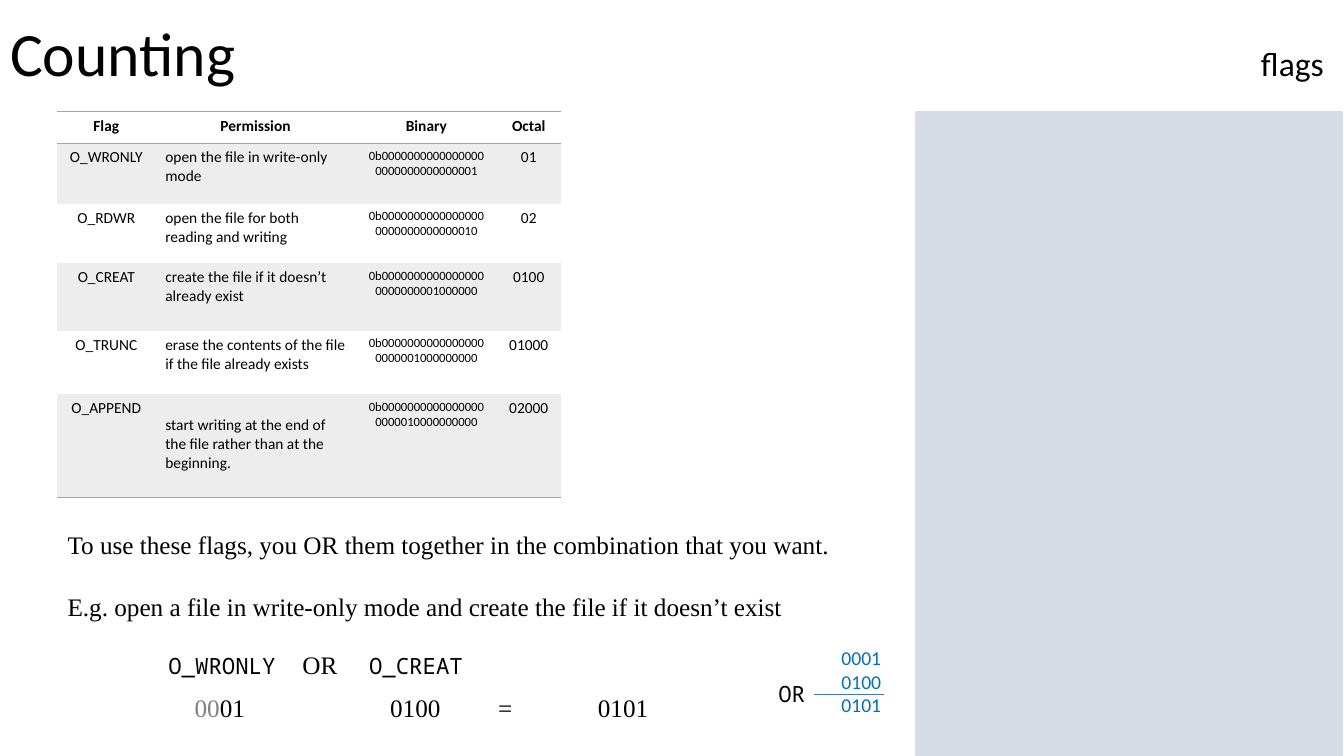
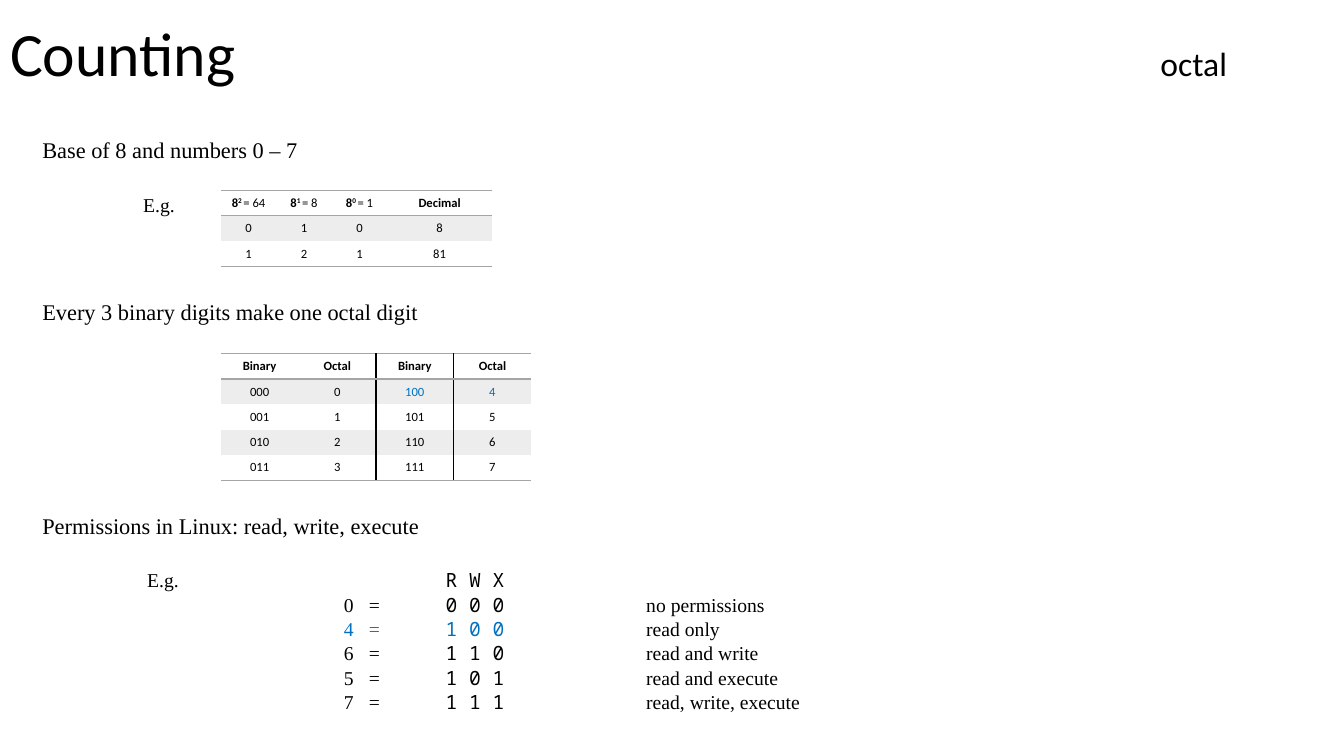
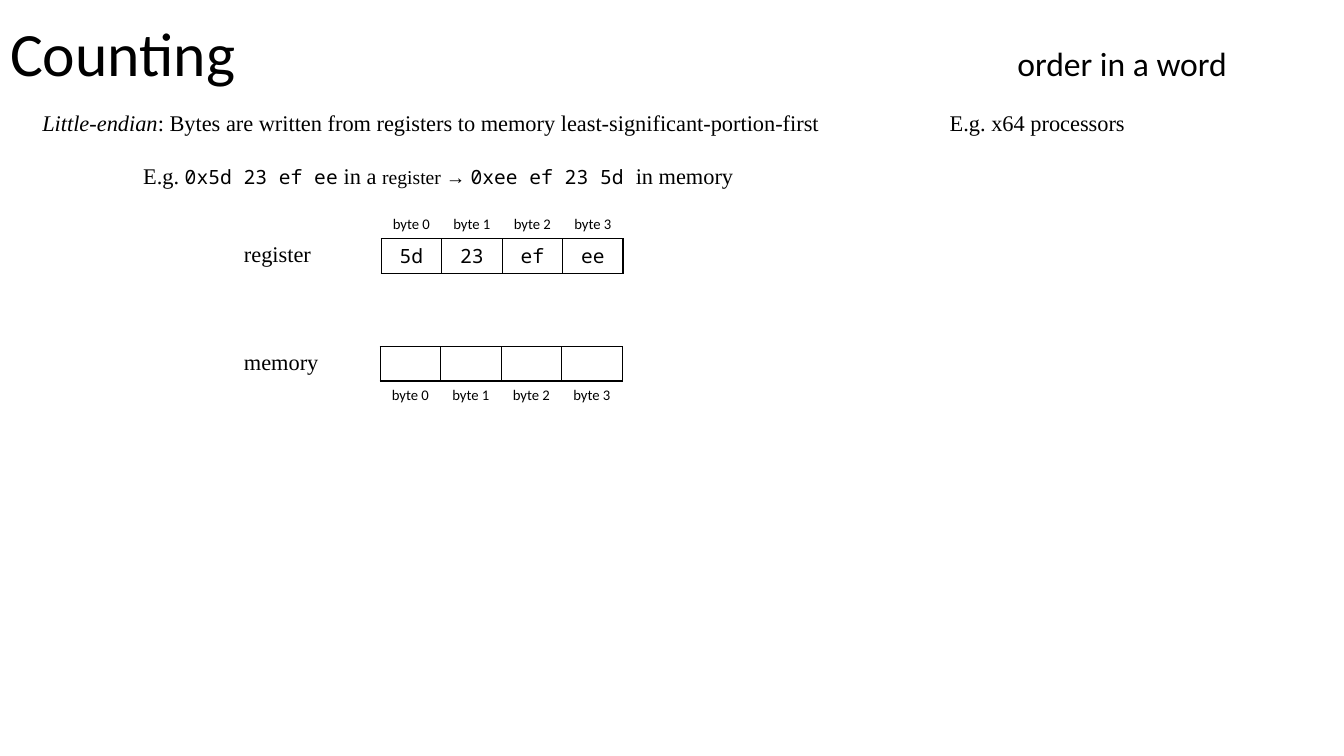
from lxml.etree import SubElement
from pptx import Presentation
from pptx.dml.color import RGBColor
from pptx.enum.shapes import MSO_CONNECTOR, MSO_SHAPE
from pptx.enum.text import MSO_ANCHOR, MSO_AUTO_SIZE, PP_ALIGN
from pptx.oxml.ns import qn
from pptx.util import Inches, Pt

COLORS = {
    "ink": "000000",
    "panel": "D6DCE5",
    "rule": "A5A5A5",
    "band": "EDEDED",
    "accent": "0070C0",
    "sum_line": "4472C4",
    "leading": "808080",
}
SANS, SERIF, MONO = "Calibri", "Times New Roman", "Noto Sans Mono"
NO_STYLE = "{2D5ABB26-0587-4C30-8999-92F81FD0307C}"
BLUE = {"color": "accent"}


def rgb(name):
    """Return the named colour."""
    return RGBColor.from_string(COLORS[name])


def add_tabs(paragraph, tabs):
    """Give a paragraph tab stops from (inches, alignment) pairs."""
    tab_list = SubElement(paragraph._p.get_or_add_pPr(), qn("a:tabLst"))
    for position, alignment in tabs:
        SubElement(tab_list, qn("a:tab"), pos=str(Inches(position)), algn=alignment)


def format_run(run, size, font=SERIF, color="ink", bold=False, italic=False, raised=False):
    """Set the character format of one run."""
    run.font.size = Pt(size)
    run.font.name = font
    run.font.color.rgb = rgb(color)
    run.font.bold = bold
    run.font.italic = italic
    if raised:
        run.font._element.set("baseline", "30000")


def write(frame, paragraphs, align=PP_ALIGN.LEFT, spacing=None, gap=0, tabs=(), **style):
    """Fill a text frame; a paragraph is a string or a list of runs."""
    for index, content in enumerate(paragraphs):
        paragraph = frame.add_paragraph() if index else frame.paragraphs[0]
        paragraph.alignment = align
        if spacing:
            paragraph.line_spacing = spacing
        if gap and index:
            paragraph.space_before = Pt(gap)
        if tabs:
            add_tabs(paragraph, tabs)
        for part in [content] if isinstance(content, str) else content:
            text, changes = (part, {}) if isinstance(part, str) else part
            if text:
                run = paragraph.add_run()
                run.text = text
                format_run(run, **{**style, **changes})


def clear_margins(frame):
    """Remove the insets of a text frame."""
    frame.margin_left = frame.margin_right = 0
    frame.margin_top = frame.margin_bottom = 0


def add_text(slide, box, *paragraphs, **style):
    """Add a text box without insets."""
    frame = slide.shapes.add_textbox(*map(Inches, box)).text_frame
    clear_margins(frame)
    frame.word_wrap = True
    write(frame, paragraphs, **style)


def set_edges(cell, edges):
    """Draw cell borders from a dict of side to colour name."""
    properties = cell._tc.get_or_add_tcPr()
    for index, side in enumerate(side for side in "LRTB" if side in edges):
        line = properties.makeelement(qn(f"a:ln{side}"), {"w": str(Pt(1))})
        fill = SubElement(line, qn("a:solidFill"))
        SubElement(fill, qn("a:srgbClr"), val=COLORS[edges[side]])
        properties.insert(index, line)


def add_grid(slide, left, top, widths, heights, rows, style, edges,
             banded=True, anchor=MSO_ANCHOR.MIDDLE, padding=0.05):
    """Add a table whose style and edges are functions of row and column."""
    table = slide.shapes.add_table(
        len(rows), len(widths), Inches(left), Inches(top),
        Inches(sum(widths)), Inches(sum(heights))).table
    table.first_row = table.horz_banding = False
    table._tbl.tblPr.find(qn("a:tableStyleId")).text = NO_STYLE
    for column, width in zip(table.columns, widths):
        column.width = Inches(width)
    for r, (height, values) in enumerate(zip(heights, rows)):
        table.rows[r].height = Inches(height)
        for c, value in enumerate(values):
            cell = table.cell(r, c)
            cell.margin_top = cell.margin_bottom = Inches(padding)
            cell.vertical_anchor = anchor
            if banded and r % 2:
                cell.fill.solid()
                cell.fill.fore_color.rgb = rgb("band")
            else:
                cell.fill.background()
            set_edges(cell, edges(r, c))
            write(cell.text_frame, [value], **style(r, c))
    return table


def ruled(last):
    """Return edges with rules around the header and below the last row."""
    def edges(r, c):
        return {"T": "rule", "B": "rule"} if r == 0 else {"B": "rule"} if r == last else {}
    return edges


def small_style(r, c):
    """Return the format of a small number table, with a bold header."""
    return {"size": 9, "font": SANS, "bold": r == 0, "align": PP_ALIGN.CENTER}


def new_slide(deck, topic, topic_right):
    """Add a slide with the shared title and its topic at the right."""
    slide = deck.slides.add_slide(deck.slide_layouts[5])
    title = slide.shapes.title
    title.left, title.top, title.width, title.height = map(Inches, (0.1, 0, 13.23, 1.13))
    frame = title.text_frame
    clear_margins(frame)
    frame.auto_size = MSO_AUTO_SIZE.NONE
    frame.vertical_anchor = MSO_ANCHOR.MIDDLE
    write(frame, [["Counting\t", (topic, {"size": 24})]], size=44, font=SANS,
          spacing=0.9, tabs=[(topic_right - 0.1, "r")])
    return slide


def add_panel(slide, box):
    """Add the plain side panel."""
    panel = slide.shapes.add_shape(MSO_SHAPE.RECTANGLE, *map(Inches, box))
    panel.shadow.inherit = False
    panel.fill.solid()
    panel.fill.fore_color.rgb = rgb("panel")
    panel.line.color.rgb = rgb("panel")
    panel.line.width = Pt(1.5)


def add_flag_table(slide, left, top):
    """Add the table of file flags."""
    flags = [
        ("O_WRONLY", "open the file in write-only mode", 1, "01"),
        ("O_RDWR", "open the file for both reading and writing", 2, "02"),
        ("O_CREAT", "create the file if it doesn’t already exist", 64, "0100"),
        ("O_TRUNC", "erase the contents of the file if the file already exists", 512, "01000"),
        ("O_APPEND", "start writing at the end of the file rather than at the beginning.",
         1024, "02000"),
    ]
    rows = [("Flag", "Permission", "Binary", "Octal")]
    rows += [(flag, use, f"0b{bits:032b}", octal) for flag, use, bits, octal in flags]

    def style(r, c):
        """Return the format of a flag cell."""
        return {"size": 9 if r and c == 2 else 11, "font": SANS, "bold": r == 0,
                "align": PP_ALIGN.LEFT if r and c == 1 else PP_ALIGN.CENTER}

    table = add_grid(slide, left, top, [0.97, 1.99, 1.4, 0.63],
                     [0.31, 0.6, 0.59, 0.67, 0.63, 1.03], rows, style,
                     ruled(len(flags)), anchor=MSO_ANCHOR.TOP)
    table.cell(len(flags), 1).margin_top = Inches(0.22)


def add_or_sum(slide, left, top):
    """Add the column sum of two flags."""
    add_text(slide, (left + 0.38, top, 0.64, 0.75), "0001", "0100", "0101",
             size=14, font=SANS, color="accent", align=PP_ALIGN.RIGHT)
    add_text(slide, (left, top + 0.34, 0.4, 0.3), "OR", size=16, font=MONO)
    line_y = Inches(top + 0.48)
    line = slide.shapes.add_connector(
        MSO_CONNECTOR.STRAIGHT, Inches(left + 0.35), line_y, Inches(left + 1.05), line_y)
    line.line.color.rgb = rgb("sum_line")
    line.line.width = Pt(0.5)
    SubElement(line._element.spPr, qn("a:effectLst"))


def add_equation(slide, left, top):
    """Add the flags joined by OR, with their values below."""
    mono = {"font": MONO, "size": 16}
    add_text(slide, (left, top, 4, 0.32),
             [("O_WRONLY\t", mono), "OR\t", ("O_CREAT", mono)],
             size=18, tabs=[(1.33, "l"), (1.99, "l")])
    add_text(slide, (left + 0.26, top + 0.43, 5, 0.3),
             [("00", {"color": "leading"}), "01\t0100\t=\t0101"],
             size=18, tabs=[(1.94, "l"), (3.01, "l"), (4, "l")])


def build_flags(deck):
    """Build the slide on flags."""
    slide = new_slide(deck, "flags", 13.13)
    add_panel(slide, (9.09, 1.11, 4.22, 6.39))
    add_flag_table(slide, 0.57, 1.11)
    add_text(slide, (0.67, 5.25, 8, 0.95),
             "To use these flags, you OR them together in the combination that you want.",
             "E.g. open a file in write-only mode and create the file if it doesn’t exist",
             size=18, gap=23)
    add_equation(slide, 1.67, 6.44)
    add_or_sum(slide, 7.72, 6.41)


def add_place_values(slide, left, top):
    """Add the table of octal place values."""
    header = [[("8", {}), (f"{power} ", {"raised": True}), (f"= {8 ** power}", {"bold": False})]
              for power in (2, 1, 0)]
    rows = [header + ["Decimal"], "0 1 0 8".split(), "1 2 1 81".split()]
    add_grid(slide, left, top, [0.55, 0.55, 0.55, 1.04], [0.25] * 3, rows,
             small_style, ruled(2))


def add_octal_digits(slide, left, top):
    """Add the table of binary triples and octal digits."""
    rows = [["Binary", "Octal"] * 2]
    rows += [[f"{low:03b}", str(low), f"{low + 4:03b}", str(low + 4)] for low in range(4)]
    rules = ruled(4)

    def style(r, c):
        """Return the small style, with the read digit in blue."""
        return {**small_style(r, c), "color": "accent" if r == 1 and c > 1 else "ink"}

    def edges(r, c):
        """Return the rules with black dividers added."""
        return {**rules(r, c), **({"R": "ink"} if c in (1, 2) else {}),
                **({"L": "ink"} if c in (2, 3) else {})}

    add_grid(slide, left, top, [0.77] * 4, [0.25] * 5, rows, style, edges)


def add_permissions(slide, left, top):
    """Add the list of permission digits."""
    meanings = [(0, "no permissions"), (4, "read only"), (6, "read and write"),
                (5, "read and execute"), (7, "read, write, execute")]
    lines = [["E.g.\t\t\t", ("R W X", {"font": MONO})]]
    for digit, meaning in meanings:
        color = {"color": "accent" if digit == 4 else "ink"}
        lines.append([(f"\t{digit}\t=\t", color),
                      (" ".join(f"{digit:03b}"), {"font": MONO, **color}), f"\t{meaning}"])
    add_text(slide, (left, top, 7.5, 1.45), *lines, size=14, spacing=Pt(17.4),
             tabs=[(1.95, "l"), (2.2, "l"), (2.96, "l"), (4.95, "l")])


def build_octal(deck):
    """Build the slide on octal numbers."""
    slide = new_slide(deck, "octal", 12.17)
    headings = [(1.35, "Base of 8 and numbers 0 – 7"),
                (2.96, "Every 3 binary digits make one octal digit"),
                (5.08, "Permissions in Linux: read, write, execute")]
    for top, heading in headings:
        add_text(slide, (0.42, top, 6, 0.27), heading, size=16)
    add_text(slide, (1.42, 1.91, 0.6, 0.24), "E.g.", size=14)
    add_place_values(slide, 2.19, 1.89)
    add_octal_digits(slide, 2.19, 3.51)
    add_permissions(slide, 1.46, 5.63)


def add_bytes(slide, left, top, values, labels_first):
    """Add four boxed bytes with their labels above or below."""
    labels = [f"byte {index}" for index in range(4)]
    rows = [labels, values] if labels_first else [values, labels]
    boxed = int(labels_first)

    def style(r, c):
        """Return the format of a byte or of its label."""
        face = {"size": 14, "font": MONO} if r == boxed else {"size": 10.5, "font": SANS}
        return {**face, "align": PP_ALIGN.CENTER}

    def edges(r, c):
        """Return a full box around each byte."""
        return dict.fromkeys("LRTB", "ink") if r == boxed else {}

    heights = [0.34 if r == boxed else 0.29 for r in range(2)]
    add_grid(slide, left, top, [0.6] * 4, heights, rows, style, edges,
             banded=False, padding=0.01)


def build_order(deck):
    """Build the slide on byte order."""
    slide = new_slide(deck, "order in a word", 12.17)
    mono = {"font": MONO, "size": 14}
    add_text(slide, (0.42, 1.08, 12.5, 0.27),
             [("Little-endian", {"italic": True}),
              ": Bytes are written from registers to memory least-significant-portion-first"
              "\tE.g. x64 processors"], size=16, tabs=[(9, "l")])
    add_text(slide, (1.42, 1.61, 8, 0.3),
             ["E.g. ", ("0x5d 23 ef ee", mono), " in a ", ("register → ", {"size": 14}),
              ("0xee ef 23 5d ", mono), "in memory"], size=16)
    for top, place in ((2.38, "register"), (3.45, "memory")):
        add_text(slide, (2.42, top, 1.2, 0.27), place, size=16)
    add_bytes(slide, 3.78, 2.08, ["5d", "23", "ef", "ee"], labels_first=True)
    add_bytes(slide, 3.77, 3.44, [""] * 4, labels_first=False)


def main():
    """Build and save the deck."""
    deck = Presentation()
    deck.slide_width, deck.slide_height = Inches(13.33), Inches(7.5)
    for build in (build_flags, build_octal, build_order):
        build(deck)
    deck.save("out.pptx")


if __name__ == "__main__":
    main()
